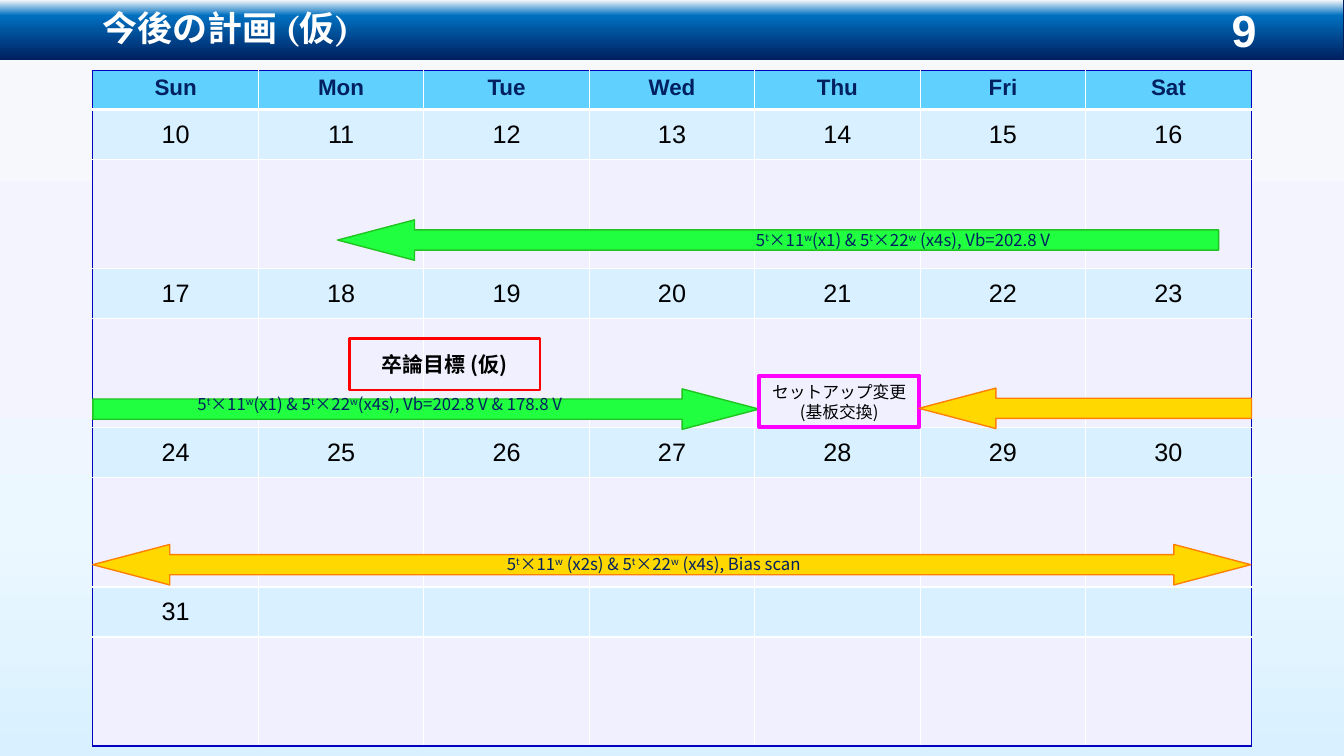
from lxml import etree
from pptx import Presentation
from pptx.dml.color import RGBColor
from pptx.enum.shapes import MSO_SHAPE
from pptx.enum.text import MSO_ANCHOR, MSO_AUTO_SIZE, PP_ALIGN
from pptx.oxml.ns import qn
from pptx.util import Cm, Pt

LEFT, CENTER = PP_ALIGN.LEFT, PP_ALIGN.CENTER
TOP, MIDDLE = MSO_ANCHOR.TOP, MSO_ANCHOR.MIDDLE
NO_AUTOFIT = MSO_AUTO_SIZE.NONE
RECTANGLE = MSO_SHAPE.RECTANGLE
LEFT_ARROW, RIGHT_ARROW = MSO_SHAPE.LEFT_ARROW, MSO_SHAPE.RIGHT_ARROW
LEFT_RIGHT_ARROW = MSO_SHAPE.LEFT_RIGHT_ARROW

JAPANESE_FONT = "Noto Sans CJK JP"
NAVY, WHITE, BLACK, GRID_BLUE = "002060", "FFFFFF", "000000", "0000C0"
GREEN, DARK_GREEN = "20FF40", "20C420"
YELLOW, ORANGE = "FFD800", "FF8000"
MAGENTA, RED = "FF00FF", "FF0000"
HEADER_FILL, DATE_FILL, PLAN_FILL = "60D0FF", "D8F0FF", "F0F0FF"

DAYS = ["Sun", "Mon", "Tue", "Wed", "Thu", "Fri", "Sat"]
FIRST_DATE, LAST_DATE, WEEKS = 10, 31, 4
TABLE_LEFT, TABLE_TOP, COLUMN_WIDTH = 2.34, 1.78, 4.17
HEADER_HEIGHT, DATE_HEIGHT, PLAN_HEIGHT = 0.98, 1.26, 2.75
BAR_HEIGHT, ARROW_HEIGHT, LABEL_HEIGHT = 1.5, 1.02, 0.76


def color(hex_string):
    return RGBColor.from_string(hex_string)


def format_run(run, font, size, hex_color, bold=False):
    run.font.name = font
    run.font.size = Pt(size)
    run.font.bold = bold
    run.font.color.rgb = color(hex_color)
    east_asian = etree.SubElement(run.font._element, qn("a:ea"))
    east_asian.set("typeface", JAPANESE_FONT)


def format_text(text_frame, font, size, hex_color, bold=False,
                alignment=CENTER, spacing=None):
    for paragraph in text_frame.paragraphs:
        paragraph.alignment = alignment
        paragraph.line_spacing = spacing
        for run in paragraph.runs:
            format_run(run, font, size, hex_color, bold)


def set_gradient(fill, element, stops):
    """Fill from top to bottom with (percent, colour) stops."""
    fill.gradient()
    fill.gradient_angle = 270
    stop_list = next(element.iter(qn("a:gsLst")))
    for stop in list(stop_list):
        stop_list.remove(stop)
    for percent, hex_color in stops:
        stop = etree.SubElement(stop_list, qn("a:gs"), pos=str(percent * 1000))
        etree.SubElement(stop, qn("a:srgbClr"), val=hex_color)


def add_shape(slide, kind, left, top, width, height, line_color, line_width, fill=None):
    shape = slide.shapes.add_shape(kind, Cm(left), Cm(top), Cm(width), Cm(height))
    shape.shadow.inherit = False
    shape.line.color.rgb = color(line_color)
    shape.line.width = Pt(line_width)
    if fill:
        shape.fill.solid()
        shape.fill.fore_color.rgb = color(fill)
    else:
        shape.fill.background()
    return shape


def add_arrow(slide, kind, left, top, width, fill, line_color):
    arrow = add_shape(slide, kind, left, top, width, ARROW_HEIGHT, line_color, 1, fill)
    arrow.adjustments[0] = 0.5
    arrow.adjustments[1] = 1.9


def add_text_box(slide, left, top, width, height):
    text_frame = slide.shapes.add_textbox(
        Cm(left), Cm(top), Cm(width), Cm(height)).text_frame
    text_frame.word_wrap = True
    text_frame.margin_left = text_frame.margin_right = Cm(0.1)
    return text_frame


def add_label(slide, left, top, width, text):
    """Add a text line whose every second part between bars is superscript."""
    text_frame = add_text_box(slide, left, top, width, LABEL_HEIGHT)
    paragraph = text_frame.paragraphs[0]
    for index, part in enumerate(text.split("|")):
        run = paragraph.add_run()
        run.text = part
        if index % 2:
            run.font._element.set("baseline", "30000")
    format_text(text_frame, JAPANESE_FONT, 12, NAVY, spacing=Pt(14.4))


def add_framed_note(slide, left, top, width, text, line_color, line_width,
                    size, bold=False):
    note = add_shape(slide, RECTANGLE, left, top, width, 1.29, line_color, line_width)
    text_frame = note.text_frame
    text_frame.text = text
    text_frame.vertical_anchor = MIDDLE
    text_frame.margin_left = text_frame.margin_right = Cm(0.1)
    format_text(text_frame, JAPANESE_FONT, size, BLACK, bold, spacing=Pt(size * 1.2))


def add_title_bar(slide, title, page_number):
    bar = add_shape(slide, RECTANGLE, 0, 0, 33.87, BAR_HEIGHT, NAVY, 0.75)
    set_gradient(bar.fill, bar._element,
                 [(0, "F6F8FC"), (26, "0070C0"), (100, NAVY)])
    slide.shapes._spTree.insert(2, bar._element)

    placeholder = slide.shapes.title
    placeholder.left, placeholder.top = Cm(TABLE_LEFT), Cm(0)
    placeholder.width, placeholder.height = Cm(29.2), Cm(BAR_HEIGHT)
    placeholder.text_frame.text = title
    placeholder.text_frame.auto_size = NO_AUTOFIT
    placeholder.text_frame.vertical_anchor = MIDDLE
    format_text(placeholder.text_frame, "Cambria", 25, WHITE, True, LEFT, 0.9)

    number_frame = add_text_box(slide, 28.85, 0, 5, BAR_HEIGHT)
    number_frame.text = page_number
    number_frame.vertical_anchor = MIDDLE
    format_text(number_frame, "Arial", 32, WHITE, True)


def set_borders(cell, borders):
    """Draw (side, colour, points) borders, ahead of the cell's fill."""
    properties = cell._tc.get_or_add_tcPr()
    for index, (side, hex_color, points) in enumerate(borders):
        line = etree.Element(qn("a:ln" + side), w=str(Pt(points)))
        solid = etree.SubElement(line, qn("a:solidFill"))
        etree.SubElement(solid, qn("a:srgbClr"), val=hex_color)
        properties.insert(index, line)


def format_cell(cell, row, column, last_row):
    is_header = row == 0
    fill = HEADER_FILL if is_header else DATE_FILL if row % 2 else PLAN_FILL
    cell.fill.solid()
    cell.fill.fore_color.rgb = color(fill)
    cell.vertical_anchor = TOP if is_header else MIDDLE
    set_borders(cell, [
        ("L", GRID_BLUE if column == 0 else WHITE, 1),
        ("R", GRID_BLUE if column == len(DAYS) - 1 else WHITE, 1),
        ("T", GRID_BLUE if is_header else WHITE, 3 if row == 1 else 1),
        ("B", GRID_BLUE if row == last_row else WHITE, 3 if is_header else 1),
    ])
    if is_header:
        cell.text_frame.text = DAYS[column]
        format_text(cell.text_frame, "Arial", 16, NAVY, True)
    elif row % 2:
        date = FIRST_DATE + row // 2 * len(DAYS) + column
        if date <= LAST_DATE:
            cell.text_frame.text = str(date)
            format_text(cell.text_frame, "Arial", 18, BLACK)


def add_calendar(slide):
    heights = [HEADER_HEIGHT] + [DATE_HEIGHT, PLAN_HEIGHT] * WEEKS
    table = slide.shapes.add_table(
        len(heights), len(DAYS), Cm(TABLE_LEFT), Cm(TABLE_TOP),
        Cm(COLUMN_WIDTH * len(DAYS)), Cm(sum(heights))).table
    for column in table.columns:
        column.width = Cm(COLUMN_WIDTH)
    for row, height in enumerate(heights):
        table.rows[row].height = Cm(height)
        for column in range(len(DAYS)):
            format_cell(table.cell(row, column), row, column, len(heights) - 1)


def main():
    presentation = Presentation()
    presentation.slide_width, presentation.slide_height = Cm(33.87), Cm(19.05)
    slide = presentation.slides.add_slide(presentation.slide_layouts[5])
    set_gradient(slide.background.fill, slide._element,
                 [(0, "F6F8FC"), (48, "F3F4FE"), (70, "ECF8FF"), (100, "D8F0FF")])
    add_title_bar(slide, "今後の計画 (仮)", "9")
    add_calendar(slide)

    add_arrow(slide, LEFT_ARROW, 8.51, 5.54, 22.2, GREEN, DARK_GREEN)
    add_label(slide, 18.57, 5.66, 8.38,
              "5|t|×11|w|(x1) & 5|t|×22|w| (x4s), Vb=202.8 V")
    add_arrow(slide, RIGHT_ARROW, TABLE_LEFT, 9.8, 16.79, GREEN, DARK_GREEN)
    add_label(slide, 3.2, 9.8, 12.75,
              "5|t|×11|w|(x1) & 5|t|×22|w|(x4s), Vb=202.8 V & 178.8 V")
    add_framed_note(slide, 19.13, 9.47, 4.04, "セットアップ変更\n(基板交換)",
                    MAGENTA, 3, 12)
    add_arrow(slide, LEFT_ARROW, 23.16, 9.78, 8.38, YELLOW, ORANGE)
    add_arrow(slide, LEFT_RIGHT_ARROW, TABLE_LEFT, 13.72, 29.18, YELLOW, ORANGE)
    add_label(slide, 12.5, 13.84, 7.95,
              "5|t|×11|w| (x2s) & 5|t|×22|w| (x4s), Bias scan")
    add_framed_note(slide, 8.81, 8.53, 4.8, "卒論目標 (仮)", RED, 1.5, 15, True)
    presentation.save("out.pptx")


if __name__ == "__main__":
    main()
